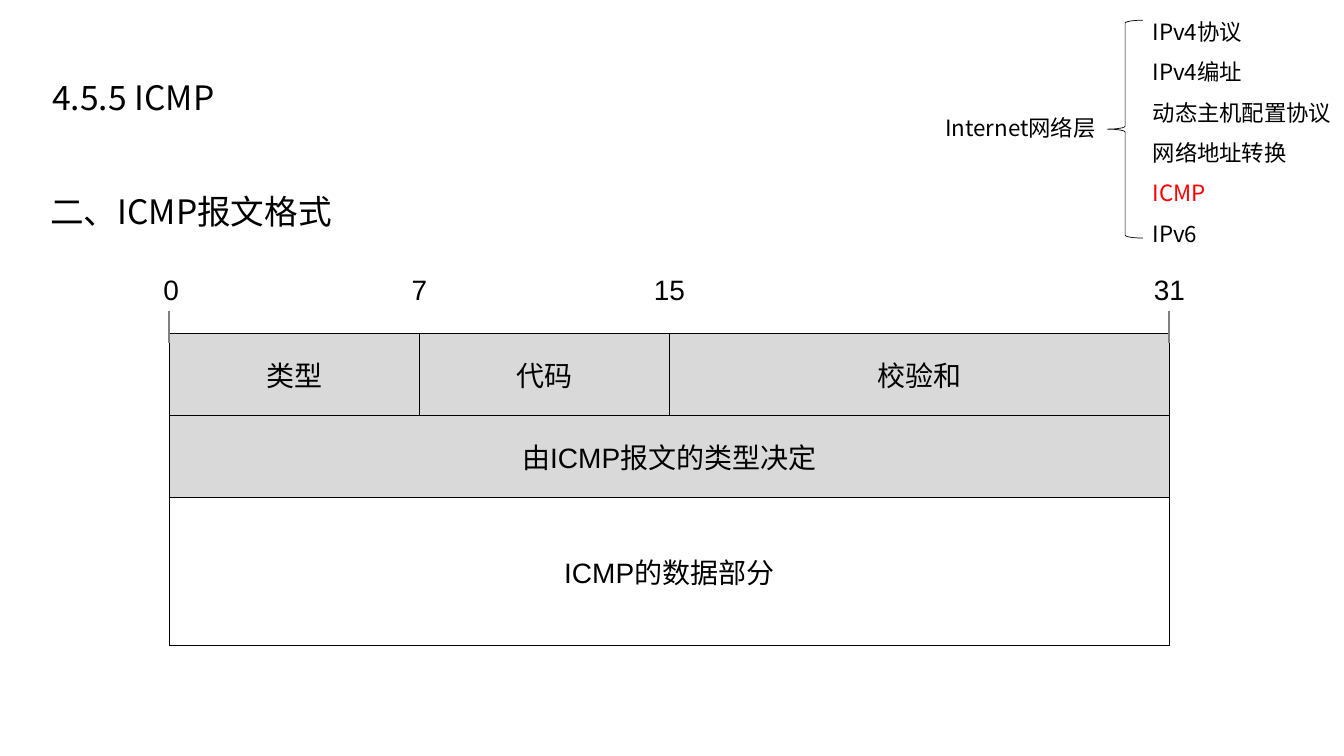
from itertools import accumulate

from lxml.etree import SubElement
from pptx import Presentation
from pptx.dml.color import RGBColor
from pptx.enum.shapes import MSO_CONNECTOR, MSO_SHAPE
from pptx.enum.text import MSO_ANCHOR, MSO_AUTO_SIZE, PP_ALIGN
from pptx.oxml.ns import qn
from pptx.util import Cm, Pt

BLACK = RGBColor(0x00, 0x00, 0x00)
RED = RGBColor(0xFF, 0x00, 0x00)
GRAY = RGBColor(0x80, 0x80, 0x80)
HEADER_FILL = RGBColor(0xD9, 0xD9, 0xD9)
SANS = "Noto Sans CJK SC"
LATIN = "Arial"


class SlideBuilder:
    """Holds the presentation's style and the current slide."""

    def __init__(self, presentation):
        self.slide = presentation.slides.add_slide(presentation.slide_layouts[5])
        self.shapes = self.slide.shapes

    def run(self, paragraph, text, size, font=SANS, color=BLACK):
        run = paragraph.add_run()
        run.text = text
        run.font.size = Pt(size)
        run.font.color.rgb = color
        run.font.name = font
        SubElement(run.font._element, qn("a:ea"), typeface=SANS)

    def title(self, text, left, top, width, height):
        title = self.shapes.title
        title.left, title.top = Cm(left), Cm(top)
        title.width, title.height = Cm(width), Cm(height)
        frame = title.text_frame
        frame.auto_size = MSO_AUTO_SIZE.NONE
        frame.word_wrap = True
        frame.vertical_anchor = MSO_ANCHOR.MIDDLE
        frame.margin_left = frame.margin_right = Cm(0.3)
        frame.margin_top = frame.margin_bottom = Cm(0.15)
        paragraph = frame.paragraphs[0]
        paragraph.alignment = PP_ALIGN.LEFT
        paragraph.line_spacing = 1.5
        self.run(paragraph, text, 24)

    def text(self, lines, left, top, width, height, size, spacing=1.0,
             font=SANS, highlight=None, tabs=()):
        box = self.shapes.add_textbox(Cm(left), Cm(top), Cm(width), Cm(height))
        frame = box.text_frame
        frame.word_wrap = True
        frame.margin_right = 0
        for index, line in enumerate(lines):
            paragraph = frame.add_paragraph() if index else frame.paragraphs[0]
            paragraph.line_spacing = spacing
            if tabs:
                tab_list = SubElement(paragraph._p.get_or_add_pPr(), qn("a:tabLst"))
                for position in tabs:
                    SubElement(tab_list, qn("a:tab"), pos=str(Cm(position)), algn="ctr")
            self.run(paragraph, line, size, font, RED if line == highlight else BLACK)

    def line(self, x1, y1, x2, y2):
        line = self.shapes.add_connector(
            MSO_CONNECTOR.STRAIGHT, Cm(x1), Cm(y1), Cm(x2), Cm(y2))
        line.line.color.rgb = GRAY
        line.line.width = Pt(1.5)
        SubElement(line._element.spPr, qn("a:effectLst"))

    def brace(self, left, top, width, height):
        brace = self.shapes.add_shape(
            MSO_SHAPE.LEFT_BRACE, Cm(left), Cm(top), Cm(width), Cm(height))
        brace.shadow.inherit = False
        brace.fill.background()
        brace.line.color.rgb = BLACK
        brace.line.width = Pt(0.5)

    def borders(self, cell):
        properties = cell._tc.get_or_add_tcPr()
        for side in ("lnL", "lnR", "lnT", "lnB"):
            border = SubElement(properties, qn(f"a:{side}"), w=str(Pt(1)))
            fill = SubElement(border, qn("a:solidFill"))
            SubElement(fill, qn("a:srgbClr"), val=str(BLACK))

    def table(self, rows, left, top, widths, heights, filled_rows):
        table = self.shapes.add_table(
            len(heights), len(widths), Cm(left), Cm(top),
            Cm(sum(widths)), Cm(sum(heights))).table
        table.first_row = table.horz_banding = False
        for column, width in zip(table.columns, widths):
            column.width = Cm(width)
        for index, (height, texts) in enumerate(zip(heights, rows)):
            table.rows[index].height = Cm(height)
            for column in range(len(widths)):
                cell = table.cell(index, column)
                self.borders(cell)
                if index < filled_rows:
                    cell.fill.solid()
                    cell.fill.fore_color.rgb = HEADER_FILL
                else:
                    cell.fill.background()
            # A row with a single text spans all columns
            if len(texts) == 1:
                table.cell(index, 0).merge(table.cell(index, len(widths) - 1))
            for column, text in enumerate(texts):
                cell = table.cell(index, column)
                cell.vertical_anchor = MSO_ANCHOR.MIDDLE
                paragraph = cell.text_frame.paragraphs[0]
                paragraph.alignment = PP_ALIGN.CENTER
                self.run(paragraph, text, 20, LATIN)


def main():
    presentation = Presentation()
    presentation.slide_width, presentation.slide_height = Cm(33.87), Cm(19.05)
    builder = SlideBuilder(presentation)

    # Headings
    builder.title("4.5.5 ICMP", 1.02, 0.86, 17.15, 2.64)
    builder.text(["二、ICMP报文格式"], 1.02, 4.19, 22.1, 1.8, 24, spacing=1.5)

    # Message format, 32 bits wide
    left, top = 4.27, 8.41
    widths = [6.3, 6.3, 12.6]
    builder.table(
        [["类型", "代码", "校验和"], ["由ICMP报文的类型决定"], ["ICMP的数据部分"]],
        left, top, widths, [2.06, 2.06, 3.73], filled_rows=2)

    # Bit numbers centred over the column edges, with end ticks
    inset = 0.15
    builder.text(["0\t7\t15\t31"], left - inset - 0.25, 6.73, 29.3, 1.12, 20,
                 font=LATIN, tabs=[edge + inset for edge in accumulate(widths)])
    for edge in (left, left + sum(widths)):
        builder.line(edge, top - 0.58, edge, top + 0.23)

    # Chapter outline
    builder.text(["Internet网络层"], 23.57, 2.74, 4.2, 0.94, 16)
    builder.brace(27.91, 0.51, 0.89, 5.49)
    builder.text(
        ["IPv4协议", "IPv4编址", "动态主机配置协议", "网络地址转换", "ICMP", "IPv6"],
        28.8, 0, 5.07, 6.4, 16, spacing=1.5, highlight="ICMP")

    presentation.save("out.pptx")


if __name__ == "__main__":
    main()
